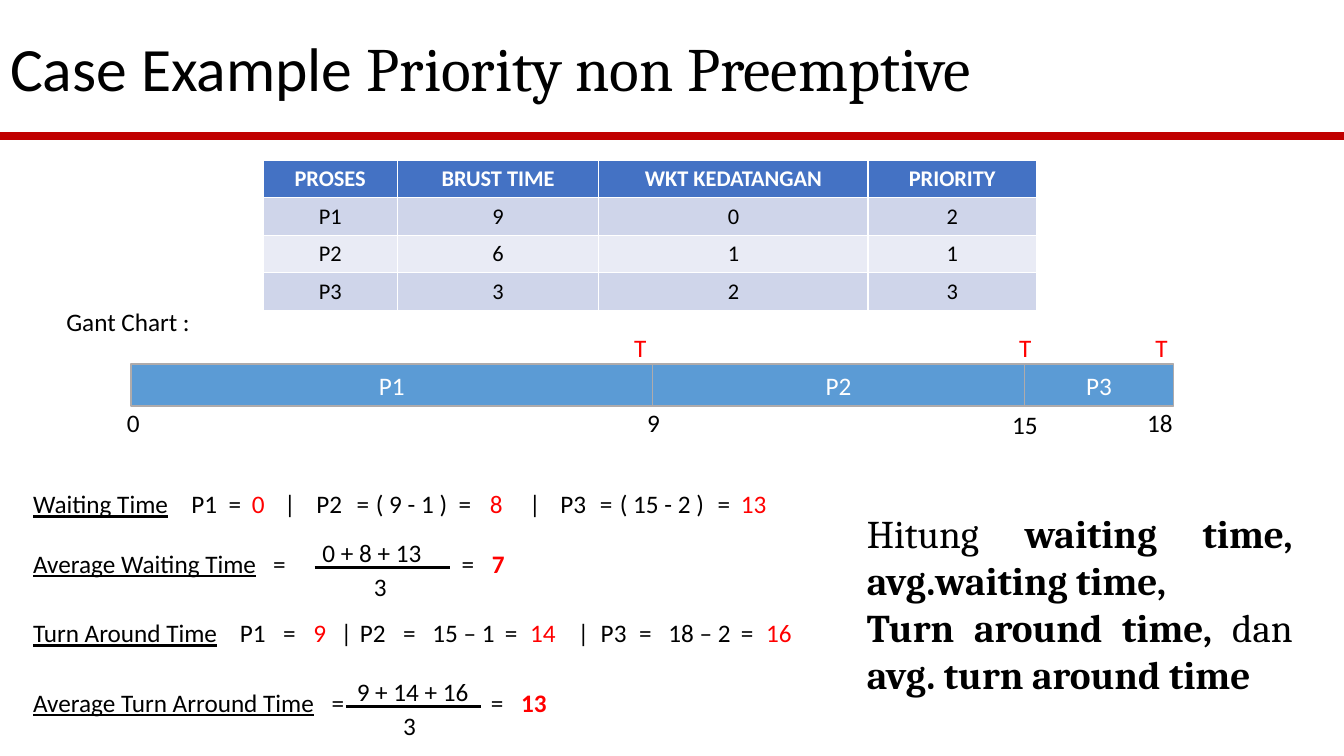
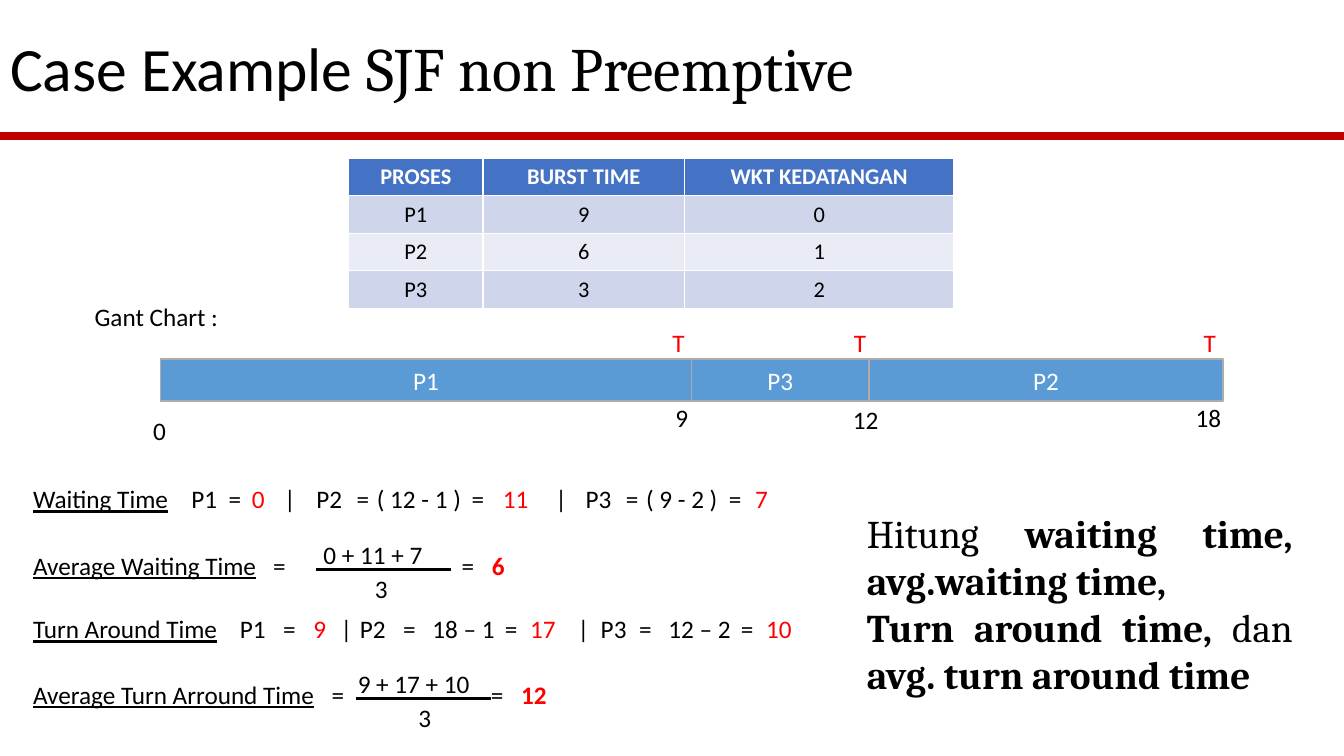
from lxml import etree
from pptx import Presentation
from pptx.dml.color import RGBColor
from pptx.enum.shapes import MSO_CONNECTOR, MSO_SHAPE
from pptx.enum.text import MSO_ANCHOR, MSO_AUTO_SIZE, PP_ALIGN
from pptx.oxml.ns import qn
from pptx.util import Inches, Pt

LEFT, CENTER, JUSTIFY = PP_ALIGN.LEFT, PP_ALIGN.CENTER, PP_ALIGN.JUSTIFY
MIDDLE = MSO_ANCHOR.MIDDLE
NO_AUTOFIT = MSO_AUTO_SIZE.NONE
RECTANGLE = MSO_SHAPE.RECTANGLE
STRAIGHT = MSO_CONNECTOR.STRAIGHT

# Shared look, lengths in inches
WIDTH, HEIGHT = 13.33, 7.5
BLACK, WHITE, RED = "000000", "FFFFFF", "FF0000"
RULE, HEADER, BAND_DARK, BAND_LIGHT = "C00000", "4472C4", "CFD5EA", "E9EBF5"
BAR, BAR_EDGE = "5B9BD5", "AFABAB"
SANS, SERIF = "Calibri", "Cambria"
LINE_H, BAR_H, ROW_H = 0.4, 0.42, 1.47 / 4
COLUMN_WIDTHS = [1.33, 2, 2.67, 1.67]
FORMULA_LEFT, FORMULA_WIDTH, FRACTION_WIDTH = 0.23, 8.75, 1.34

# Tab stops of the formulas, measured from the start of the text
TURN_STOPS = [2.05, 2.48, 2.78, 3.05, 3.24, 3.67, 3.96, 4.68,
              4.93, 5.4, 5.63, 6.01, 6.3, 7.02, 7.27]
AVERAGE_WAITING_STOPS = [2.38, 4.25, 4.55]
AVERAGE_TURN_STOPS = [2.96, 4.54, 4.84]

TASK = [
    [("Hitung ", False), ("waiting time, avg.waiting time,", True)],
    [("Turn around time, ", True), ("dan ", False), ("avg. turn around time", True)],
]

# gantt ticks: time, bar edge, left and drop of the time, left of the T mark
# totals: top, answer for P1, then working and answer for P2 and P3
# averages: top, sum, result, then left of sum, fraction line and divisor
CASES = [
    {
        "method": "Priority non Preemptive",
        "table_at": (2.61, 1.59),
        "table": [["PROSES", "BRUST TIME", "WKT KEDATANGAN", "PRIORITY"],
                  ["P1", "9", "0", "2"], ["P2", "6", "1", "1"], ["P3", "3", "2", "3"]],
        "gantt_label_at": (0.56, 2.99),
        "bar_top": 3.61,
        "processes": ["P1", "P2", "P3"],
        "ticks": [("0", 1.3, 1.16, 0.38, None), ("9", 6.47, 6.32, 0.38, 6.19),
                  ("15", 10.16, 9.94, 0.4, 10.01), ("18", 11.64, 11.28, 0.38, 11.36)],
        "waiting": (4.8, "0", "( 9 - 1 )", "8", "( 15 - 2 )", "13"),
        "waiting_stops": [1.57, 1.94, 2.17, 2.49, 2.81, 3.21, 3.4, 4.22,
                          4.53, 4.92, 5.23, 5.62, 5.82, 6.79, 7.02],
        "average_waiting": (5.39, "0 + 8 + 13", "7", 3.1, 3.12, 3.61),
        "turn": (6.08, "9", "15 – 1", "14", "18 – 2", "16"),
        "average_turn": (6.77, "9 + 14 + 16", "13", 3.44, 3.43, 3.9),
    },
    {
        "method": "SJF non Preemptive",
        "table_at": (3.46, 1.57),
        "table": [["PROSES", "BURST TIME", "WKT KEDATANGAN"],
                  ["P1", "9", "0"], ["P2", "6", "1"], ["P3", "3", "2"]],
        "gantt_label_at": (0.84, 2.94),
        "bar_top": 3.56,
        "processes": ["P1", "P3", "P2"],
        "ticks": [("0", 1.59, 1.42, 0.51, None), ("9", 6.86, 6.6, 0.38, 6.57),
                  ("12", 8.62, 8.36, 0.4, 8.37), ("18", 12.13, 11.76, 0.38, 11.84)],
        "waiting": (4.75, "0", "( 12 - 1 )", "11", "( 9 - 2 )", "7"),
        "waiting_stops": [1.57, 1.94, 2.17, 2.49, 2.81, 3.21, 3.41, 4.35,
                          4.66, 5.18, 5.48, 5.88, 6.08, 6.9, 7.16],
        "average_waiting": (5.41, "0 + 11 + 7", "6", 3.11, 3.13, 3.62),
        "turn": (6.04, "9", "18 – 1", "17", "12 – 2", "10"),
        "average_turn": (6.69, "9 + 17 + 10", "12", 3.45, 3.53, 4.05),
    },
]


def color(hex_string):
    return RGBColor.from_string(hex_string)


def style(run, size=18, font=SANS, ink=BLACK, bold=False, underline=False):
    run.font.size, run.font.name = Pt(size), font
    run.font.color.rgb = color(ink)
    run.font.bold, run.font.underline = bold, underline


def add_run(paragraph, text, **look):
    run = paragraph.add_run()
    run.text = text
    style(run, **look)


def add_frame(slide, left, top, width, height=LINE_H, wrap=True):
    box = slide.shapes.add_textbox(*map(Inches, (left, top, width, height)))
    box.text_frame.word_wrap = wrap
    return box.text_frame


def add_label(slide, text, left, top, width=0.5, ink=BLACK):
    frame = add_frame(slide, left, top, width, wrap=False)
    add_run(frame.paragraphs[0], text, ink=ink)


def add_rule(slide, left, top, width, ink, weight):
    rule = slide.shapes.add_connector(
        STRAIGHT, *map(Inches, (left, top, left + width, top)))
    rule.line.color.rgb = color(ink)
    rule.line.width = Pt(weight)
    etree.SubElement(rule._element.spPr, qn("a:effectLst"))


def add_title(slide, method):
    title = slide.shapes.title
    title.left, title.top, title.width, title.height = map(Inches, (0, 0.24, 10.28, 0.84))
    frame = title.text_frame
    frame.auto_size, frame.vertical_anchor = NO_AUTOFIT, MIDDLE
    heading = frame.paragraphs[0]
    heading.alignment = LEFT
    add_run(heading, "Case Example ", size=44)
    add_run(heading, method, size=44, font=SERIF)


def add_process_table(slide, rows, left, top):
    widths = COLUMN_WIDTHS[:len(rows[0])]
    table = slide.shapes.add_table(
        len(rows), len(widths),
        *map(Inches, (left, top, sum(widths), ROW_H * len(rows)))).table
    for column, width in zip(table.columns, widths):
        column.width = Inches(width)
    for r, row in enumerate(rows):
        fill = HEADER if r == 0 else (BAND_LIGHT, BAND_DARK)[r % 2]
        for c, text in enumerate(row):
            cell = table.cell(r, c)
            cell.fill.solid()
            cell.fill.fore_color.rgb = color(fill)
            entry = cell.text_frame.paragraphs[0]
            entry.alignment = CENTER
            add_run(entry, text, size=16, ink=BLACK if r else WHITE, bold=r == 0)


def add_gantt(slide, case):
    top, ticks = case["bar_top"], case["ticks"]
    add_label(slide, "Gant Chart :", *case["gantt_label_at"], width=2.13)
    for process, start, end in zip(case["processes"], ticks, ticks[1:]):
        bar = slide.shapes.add_shape(
            RECTANGLE, *map(Inches, (start[1], top, end[1] - start[1], BAR_H)))
        bar.shadow.inherit = False
        bar.fill.solid()
        bar.fill.fore_color.rgb = color(BAR)
        bar.line.color.rgb = color(BAR_EDGE)
        bar.line.width = Pt(1)
        bar.text_frame.vertical_anchor = MIDDLE
        name = bar.text_frame.paragraphs[0]
        name.alignment = CENTER
        add_run(name, process, ink=WHITE)
    for time, _, left, drop, mark_left in ticks:
        add_label(slide, time, left, top + drop)
        if mark_left is not None:
            add_label(slide, "T", mark_left, top - 0.36, 0.32, RED)


def add_formula(slide, name, top, tokens, stops, answers, bold=False):
    frame = add_frame(slide, FORMULA_LEFT, top, FORMULA_WIDTH)
    formula = frame.paragraphs[0]
    tab_list = etree.SubElement(formula._p.get_or_add_pPr(), qn("a:tabLst"))
    for stop in stops:
        etree.SubElement(tab_list, qn("a:tab"), pos=str(Inches(stop)), algn="l")
    add_run(formula, name, underline=True)
    for i, token in enumerate(tokens):
        answer = i in answers
        add_run(formula, "\t" + token, ink=RED if answer else BLACK, bold=bold and answer)


def add_totals(slide, name, totals, stops):
    top, first, *others = totals
    tokens = ["P1", "=", first]
    for process, working, answer in zip(("P2", "P3"), others[::2], others[1::2]):
        tokens += ["|", process, "=", working, "=", answer]
    add_formula(slide, name, top, tokens, stops, answers=(2, 8, 14))


def add_average(slide, name, average, stops):
    top, total, result, total_left, rule_left, divisor_left = average
    add_formula(slide, name, top, ["=", "=", result], stops, answers=(2,), bold=True)
    add_label(slide, total, total_left, top - 0.11, 1.38)
    add_label(slide, "3", divisor_left, top + 0.23, 0.32)
    add_rule(slide, rule_left, top + 0.24, FRACTION_WIDTH, BLACK, 2.25)


def add_task(slide):
    frame = add_frame(slide, 8.5, 5, 4.42, 1.99)
    for i, parts in enumerate(TASK):
        sentence = frame.add_paragraph() if i else frame.paragraphs[0]
        sentence.alignment = JUSTIFY
        for text, bold in parts:
            add_run(sentence, text, size=28, font=SERIF, bold=bold)


# Build the slides
deck = Presentation()
deck.slide_width, deck.slide_height = Inches(WIDTH), Inches(HEIGHT)
title_only = deck.slide_layouts[5]
for case in CASES:
    slide = deck.slides.add_slide(title_only)
    add_rule(slide, 0, 1.35, WIDTH, RULE, 6)
    add_title(slide, case["method"])
    add_process_table(slide, case["table"], *case["table_at"])
    add_gantt(slide, case)
    add_totals(slide, "Waiting Time", case["waiting"], case["waiting_stops"])
    add_average(slide, "Average Waiting Time", case["average_waiting"], AVERAGE_WAITING_STOPS)
    add_totals(slide, "Turn Around Time", case["turn"], TURN_STOPS)
    add_average(slide, "Average Turn Arround Time", case["average_turn"], AVERAGE_TURN_STOPS)
    add_task(slide)
deck.save("out.pptx")
